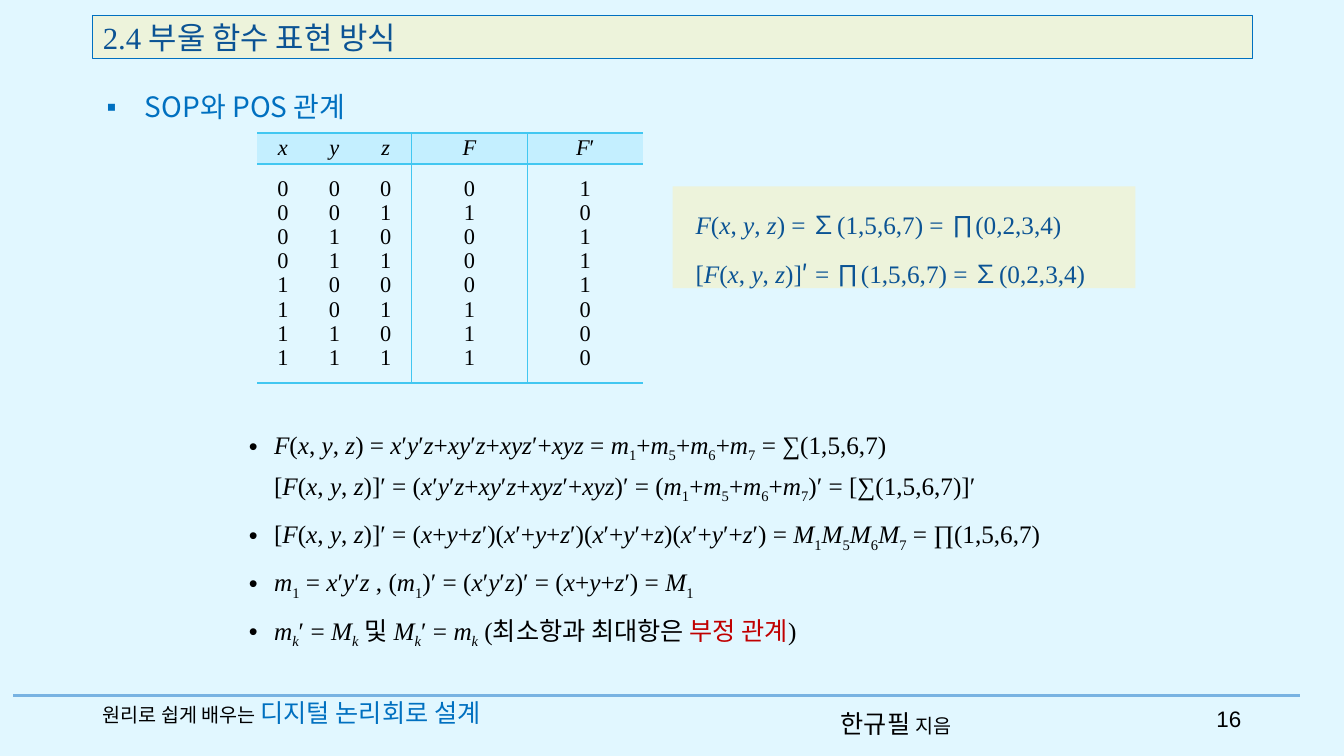
from itertools import groupby, product
from lxml import etree
from pptx import Presentation
from pptx.dml.color import RGBColor
from pptx.enum.shapes import MSO_CONNECTOR, MSO_SHAPE
from pptx.enum.text import MSO_ANCHOR, MSO_AUTO_SIZE, PP_ALIGN
from pptx.oxml.ns import qn
from pptx.util import Inches, Pt

LINE, RECT = MSO_CONNECTOR.STRAIGHT, MSO_SHAPE.RECTANGLE
TOP, MIDDLE = MSO_ANCHOR.TOP, MSO_ANCHOR.MIDDLE
LEFT, CENTER, RIGHT = PP_ALIGN.LEFT, PP_ALIGN.CENTER, PP_ALIGN.RIGHT
FIXED = MSO_AUTO_SIZE.NONE
SERIF, SANS, PLAIN = "Times New Roman", "Noto Sans CJK KR", "Arial"
BLACK, NAVY, BLUE, RED = "000000", "0B5394", "0070C0", "C00000"
CREAM, SKY, CYAN = "EDF3DB", "C4EFFF", "42C7F1"


def color(code):
    return RGBColor.from_string(code)


def fill(part, code):
    part.fill.solid()
    part.fill.fore_color.rgb = color(code)


def style(run, size, font, code):
    run.font.size = Pt(size)
    run.font.name = font
    run.font.color.rgb = color(code)
    east = etree.SubElement(run._r.get_or_add_rPr(), qn("a:ea"))
    east.set("typeface", SANS)


def write(para, parts):
    for text, size, font, code in parts:
        run = para.add_run()
        run.text = text
        style(run, size, font, code)


def math(para, text, size, code, signs=""):
    marks = []
    low = False
    for char in text:
        if char == "_":
            low = True
            continue
        slant = char.isascii() and char.isalpha()
        marks.append((char, (slant, low, SANS if char in signs else SERIF)))
        low = False
    for (slant, low, font), group in groupby(marks, lambda mark: mark[1]):
        run = para.add_run()
        run.text = "".join(char for char, _ in group)
        style(run, size, font, code)
        run.font.italic = slant
        if low:
            run._r.get_or_add_rPr().set("baseline", "-25000")


def setup(frame, anchor=TOP):
    frame.word_wrap = True
    frame.auto_size = FIXED
    frame.vertical_anchor = anchor


def label(slide, box, parts, align=LEFT):
    shape = slide.shapes.add_textbox(*map(Inches, box))
    setup(shape.text_frame)
    para = shape.text_frame.paragraphs[0]
    para.alignment = align
    write(para, parts)
    return para


def bullet(para, mark, left, hang):
    props = para._p.get_or_add_pPr()
    props.set("marL", str(Inches(left)))
    props.set("indent", str(Inches(-hang)))
    etree.SubElement(props, qn("a:buFont")).set("typeface", PLAIN)
    etree.SubElement(props, qn("a:buChar")).set("char", mark)


def header(slide, box):
    title = slide.shapes.title
    title.left, title.top, title.width, title.height = map(Inches, box)
    fill(title, CREAM)
    title.line.color.rgb = color(BLUE)
    title.line.width = Pt(0.75)
    setup(title.text_frame, MIDDLE)
    para = title.text_frame.paragraphs[0]
    para.alignment = LEFT
    write(para, [("2.4 부울 함수 표현 방식", 22, SERIF, NAVY)])


def border(cell, side, width):
    props = cell._tc.get_or_add_tcPr()
    edge = etree.Element(qn("a:" + side), w=str(Pt(width)))
    paint = etree.SubElement(edge, qn("a:solidFill" if width else "a:noFill"))
    if width:
        etree.SubElement(paint, qn("a:srgbClr")).set("val", CYAN)
    props.insert(["lnL", "lnR", "lnT", "lnB"].index(side), edge)


def truth(slide, box):
    left, top, wide, high = box
    table = slide.shapes.add_table(2, 5, *map(Inches, box)).table
    table.first_row = table.horz_banding = False
    for col, share in zip(table.columns, [2, 2, 2, 4.5, 4.5]):
        col.width = Inches(wide * share / 15)
    for row, share in zip(table.rows, [1, 7]):
        row.height = Inches(high * share / 8)
    terms = list(product([0, 1], repeat=3))
    ones = [int(k in (1, 5, 6, 7)) for k in range(8)]
    data = list(zip(*terms)) + [ones, [1 - one for one in ones]]
    for col, (name, bits) in enumerate(zip(["x", "y", "z", "F", "F′"], data)):
        for row, lines in enumerate([[name], bits]):
            cell = table.cell(row, col)
            cell.vertical_anchor = MIDDLE
            cell.margin_left = cell.margin_right = Inches(0.07)
            cell.margin_top = cell.margin_bottom = Inches(0.02)
            if row:
                cell.fill.background()
            else:
                fill(cell, SKY)
            frame = cell.text_frame
            for k, line in enumerate(lines):
                para = frame.add_paragraph() if k else frame.paragraphs[0]
                para.alignment = CENTER
                para.line_spacing = 0.97
                math(para, str(line), 16, BLACK)
            border(cell, "lnL", 0.28 if col > 2 else 0)
            border(cell, "lnR", 0.28 if col in (2, 3) else 0)
            border(cell, "lnT", 1.7)
            border(cell, "lnB", 1.7)


def result(slide, box):
    shape = slide.shapes.add_shape(RECT, *map(Inches, box))
    shape.shadow.inherit = False
    fill(shape, CREAM)
    shape.line.fill.background()
    frame = shape.text_frame
    setup(frame)
    lines = ["F(x, y, z) = ∑(1,5,6,7) = ∏(0,2,3,4)",
             "[F(x, y, z)]′ = ∏(1,5,6,7) = ∑(0,2,3,4)"]
    for k, line in enumerate(lines):
        para = frame.add_paragraph() if k else frame.paragraphs[0]
        para.alignment = LEFT
        para.line_spacing = 1.6
        para._p.get_or_add_pPr().set("indent", str(Inches(0.13)))
        math(para, line, 18, NAVY, "∑∏′")


def proof(slide, box):
    frame = slide.shapes.add_textbox(*map(Inches, box)).text_frame
    setup(frame)
    total = "x′y′z+xy′z+xyz′+xyz"
    small = "m_1+m_5+m_6+m_7"
    lines = [
        f"F(x, y, z) = {total} = {small} = ∑(1,5,6,7)\n"
        f"[F(x, y, z)]′ = ({total})′ = ({small})′ = [∑(1,5,6,7)]′",
        "[F(x, y, z)]′ = (x+y+z′)(x′+y+z′)(x′+y′+z)(x′+y′+z′)"
        " = M_1M_5M_6M_7 = ∏(1,5,6,7)",
        "m_1 = x′y′z , (m_1)′ = (x′y′z)′ = (x+y+z′) = M_1",
        "m_k′ = M_k 및 M_k′ = m_k (최소항과 최대항은 "]
    for k, line in enumerate(lines):
        para = frame.add_paragraph() if k else frame.paragraphs[0]
        para.line_spacing = 1.2
        para.space_before = Pt(5)
        bullet(para, "•", 0.75, 0.25)
        for part, text in enumerate(line.split("\n")):
            if part:
                para.add_line_break()
            math(para, text, 18, BLACK)
    write(para, [("부정 관계", 18, SERIF, RED), (")", 18, SERIF, BLACK)])


def footer(slide, box):
    left, top, wide, high = box
    rule = slide.shapes.add_connector(
        LINE, *map(Inches, (left, top, left + wide, top)))
    rule.line.color.rgb = color("78B3E2")
    rule.line.width = Pt(2.5)
    etree.SubElement(rule._element.spPr, qn("a:effectLst"))
    label(slide, (left + 8.11, top + 0.08, 1.53, high),
          [("한규필 ", 18, SANS, BLACK), ("지음", 14, SANS, BLACK)])
    label(slide, (left + 0.79, top - 0.03, 4.63, high),
          [("원리로 쉽게 배우는 ", 14, SERIF, BLACK),
           ("디지털 논리회로 설계", 18, SERIF, BLUE)])
    label(slide, (left + 11.66, top + 0.05, 0.62, high),
          [("16", 16, PLAIN, BLACK)], RIGHT)


def main():
    deck = Presentation()
    deck.slide_width, deck.slide_height = Inches(13.33), Inches(7.5)
    slide = deck.slides.add_slide(deck.slide_layouts[5])
    fill(slide.background, "E1F7FF")
    header(slide, (0.92, 0.15, 11.5, 0.43))
    topic = label(slide, (0.96, 0.84, 7.14, 0.44),
                  [("SOP와 POS 관계", 20, SANS, BLUE)])
    bullet(topic, "▪", 0.38, 0.38)
    truth(slide, (2.55, 1.32, 3.83, 2.48))
    result(slide, (6.67, 1.85, 4.59, 1.01))
    proof(slide, (1.87, 4.14, 10.56, 2.46))
    footer(slide, (0.13, 6.9, 12.76, 0.4))
    deck.save("out.pptx")


if __name__ == "__main__":
    main()
